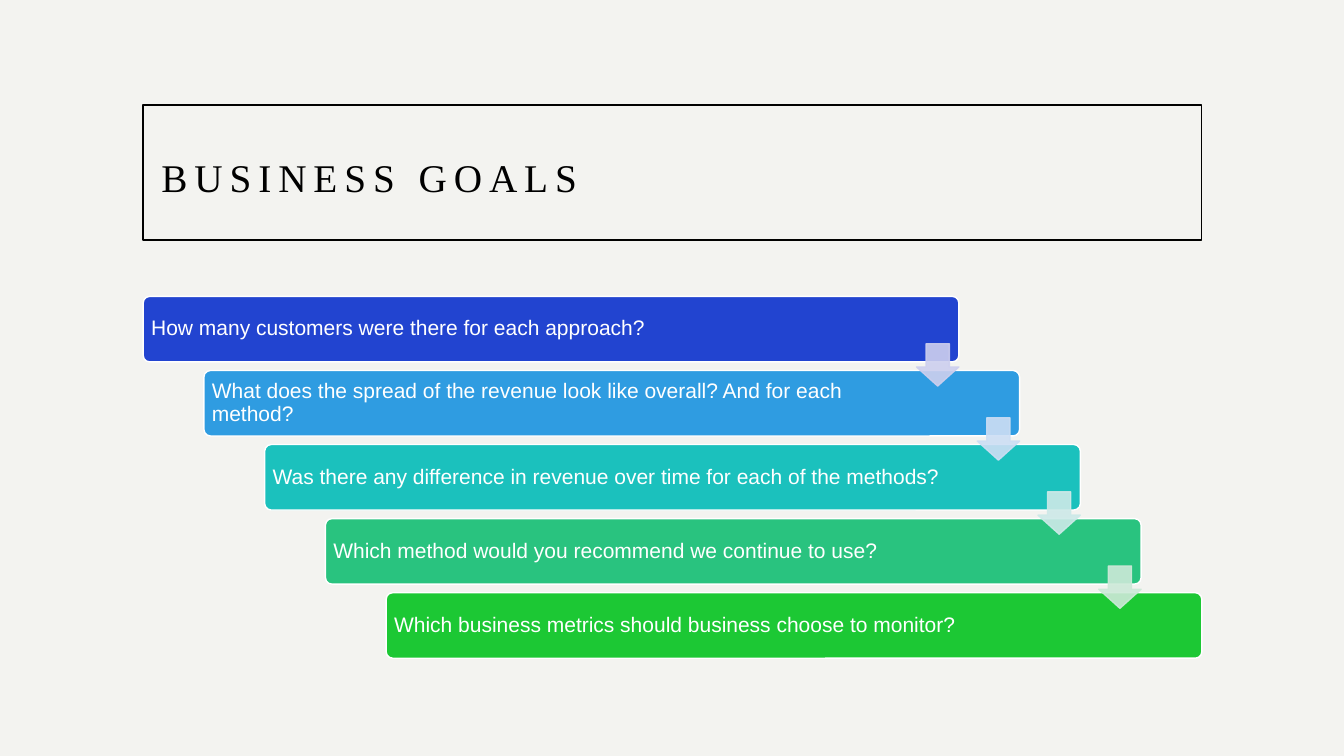
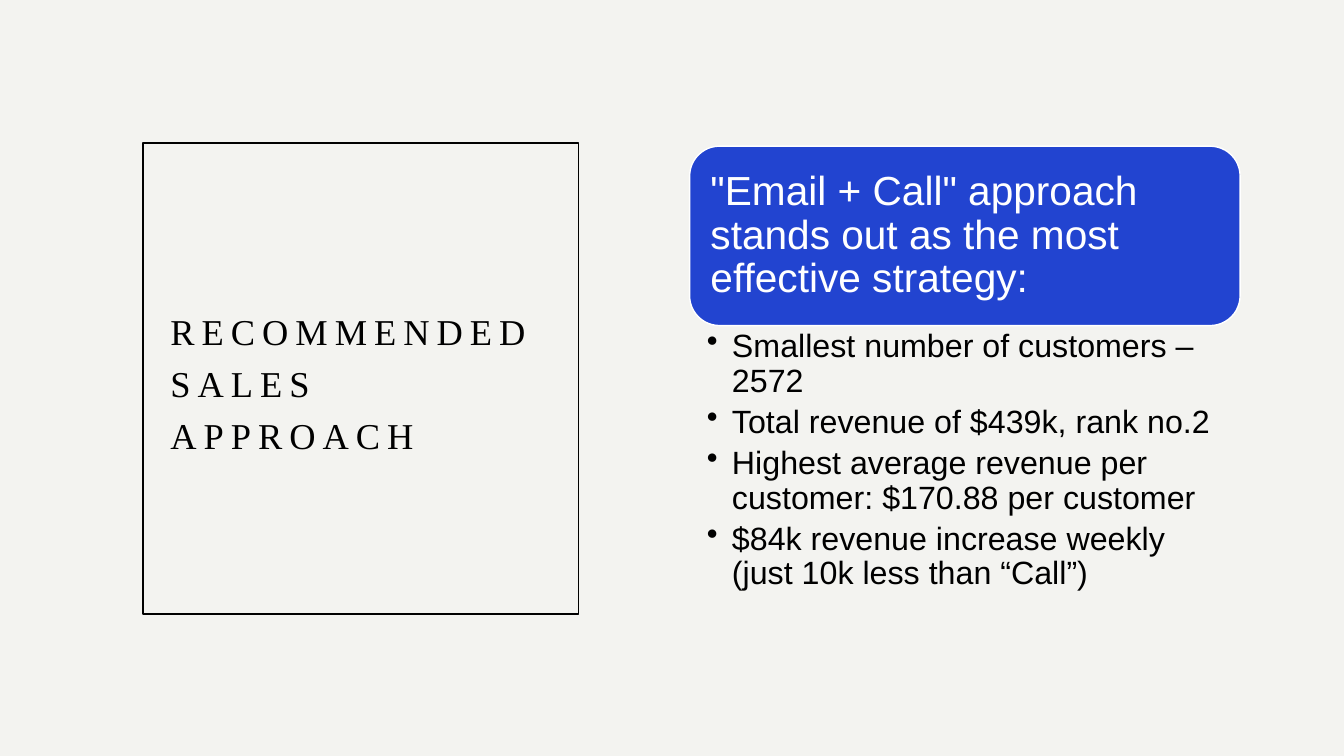
from lxml import etree
from pptx import Presentation
from pptx.dml.color import RGBColor
from pptx.enum.shapes import MSO_SHAPE
from pptx.enum.text import MSO_ANCHOR, PP_ALIGN
from pptx.oxml.ns import qn
from pptx.util import Inches, Pt

RECT = MSO_SHAPE.RECTANGLE
ROUND = MSO_SHAPE.ROUNDED_RECTANGLE
DOWN_ARROW = MSO_SHAPE.DOWN_ARROW
TOP, MIDDLE = MSO_ANCHOR.TOP, MSO_ANCHOR.MIDDLE
LEFT = PP_ALIGN.LEFT

PAPER = RGBColor(0xF3, 0xF3, 0xF0)
BLACK = RGBColor(0x00, 0x00, 0x00)
WHITE = RGBColor(0xFF, 0xFF, 0xFF)
BLUE = RGBColor(0x22, 0x44, 0xD0)
SKY = RGBColor(0x2F, 0x9C, 0xE1)
TEAL = RGBColor(0x1B, 0xC1, 0xBD)
MINT = RGBColor(0x29, 0xC3, 0x7F)
GREEN = RGBColor(0x1C, 0xC8, 0x34)
PALE_BLUE = RGBColor(0xCD, 0xCF, 0xEE)
PALE_SKY = RGBColor(0xCD, 0xDE, 0xF4)
PALE_TEAL = RGBColor(0xCD, 0xE9, 0xE8)
PALE_MINT = RGBColor(0xCD, 0xE9, 0xD8)

TITLE_FONT = "Times New Roman"
BODY_FONT = "Arial"

GOALS = [
    ("How many customers were there for each approach?", BLUE),
    ("What does the spread of the revenue look like overall? And for each method?", SKY),
    ("Was there any difference in revenue over time for each of the methods?", TEAL),
    ("Which method would you recommend we continue to use?", MINT),
    ("Which business metrics should business choose to monitor?", GREEN),
]
ARROW_COLORS = [PALE_BLUE, PALE_SKY, PALE_TEAL, PALE_MINT]

REASONS = [
    "Smallest number of customers – 2572",
    "Total revenue of $439k, rank no.2",
    "Highest average revenue per customer: $170.88 per customer",
    "$84k revenue increase weekly (just 10k less than “Call”)",
]


def write(tf, lines, *, size, color, font=BODY_FONT, insets, anchor=MIDDLE,
          line_spacing=0.9, space_after=0, spacing=0, bullet=None, indent=0.25):
    tf.word_wrap = True
    tf.vertical_anchor = anchor
    tf.margin_left, tf.margin_top, tf.margin_right, tf.margin_bottom = map(Inches, insets)
    for i, line in enumerate(lines):
        p = tf.add_paragraph() if i else tf.paragraphs[0]
        p.alignment = LEFT
        p.line_spacing = line_spacing
        p.space_after = Pt(space_after)
        if bullet:
            pPr = p._p.get_or_add_pPr()
            pPr.set("marL", str(Inches(indent)))
            pPr.set("indent", str(-Inches(indent)))
            etree.SubElement(pPr, qn("a:buChar"), char=bullet)
        r = p.add_run()
        r.text = line
        r.font.name = font
        r.font.size = Pt(size)
        r.font.color.rgb = color
        if spacing:
            r._r.get_or_add_rPr().set("spc", str(spacing * 100))


class Deck:
    def __init__(self):
        self.prs = Presentation()
        self.prs.slide_width = Inches(13.33)
        self.prs.slide_height = Inches(7.5)
        fill = self.prs.slide_master.background.fill
        fill.solid()
        fill.fore_color.rgb = PAPER
        self.s = None

    def new_slide(self):
        self.s = self.prs.slides.add_slide(self.prs.slide_layouts[6])

    def shape(self, kind, box, line, fill=None, adjustments=()):
        sp = self.s.shapes.add_shape(kind, *map(Inches, box))
        sp.shadow.inherit = False
        if fill is None:
            sp.fill.background()
        else:
            sp.fill.solid()
            sp.fill.fore_color.rgb = fill
        sp.line.color.rgb = line
        sp.line.width = Pt(1)
        for i, value in enumerate(adjustments):
            sp.adjustments[i] = value
        return sp

    def title(self, text, box, size, inset):
        sp = self.shape(RECT, box, BLACK)
        write(sp.text_frame, [text], size=size, color=BLACK, font=TITLE_FONT,
              insets=(inset, 0.05, inset, 0.05), line_spacing=1.2, spacing=5)

    def bar(self, text, box, fill, size, insets, adjustments=()):
        sp = self.shape(ROUND, box, WHITE, fill, adjustments)
        write(sp.text_frame, [text], size=size, color=WHITE, insets=insets)

    def arrow(self, box, color):
        sp = self.shape(DOWN_ARROW, box, color, color, (0.55, 0.45))
        for clr in sp._element.iter(qn("a:srgbClr")):
            etree.SubElement(clr, qn("a:alpha"), val="90000")

    def bullets(self, lines, box, size):
        tb = self.s.shapes.add_textbox(*map(Inches, box))
        write(tb.text_frame, lines, size=size, color=BLACK, anchor=TOP,
              insets=(0.17, 0.04, 0.23, 0.04), space_after=4.5, bullet="•")


def business_goals(deck):
    deck.new_slide()
    left, width = 1.42, 10.5
    deck.title("BUSINESS GOALS", (left, 1.04, width, 1.34), 28, 0.18)

    top, bar_w, bar_h, arrow = 2.94, 8.09, 0.65, 0.42
    step_x = (width - bar_w) / (len(GOALS) - 1)
    step_y = 0.735
    for i, (goal, color) in enumerate(GOALS):
        deck.bar(goal, (left + i * step_x, top + i * step_y, bar_w, bar_h),
                 color, 15, (0.06, 0.06, 1.09, 0.06), (0.1,))
    for i, color in enumerate(ARROW_COLORS):
        deck.arrow((left + bar_w - arrow + i * step_x, top + 0.47 + i * step_y,
                    arrow, arrow), color)


def recommended_approach(deck):
    deck.new_slide()
    deck.title("RECOMMENDED SALES APPROACH", (1.42, 1.42, 4.32, 4.67), 26, 0.27)
    left, top, width, height = 6.84, 1.45, 5.46, 1.78
    deck.bar('"Email + Call" approach stands out as the most effective strategy:',
             (left, top, width, height), BLUE, 29, (0.12,) * 4)
    deck.bullets(REASONS, (left, top + height, width, 2.82), 23)


def main():
    deck = Deck()
    business_goals(deck)
    recommended_approach(deck)
    deck.prs.save("out.pptx")


if __name__ == "__main__":
    main()
